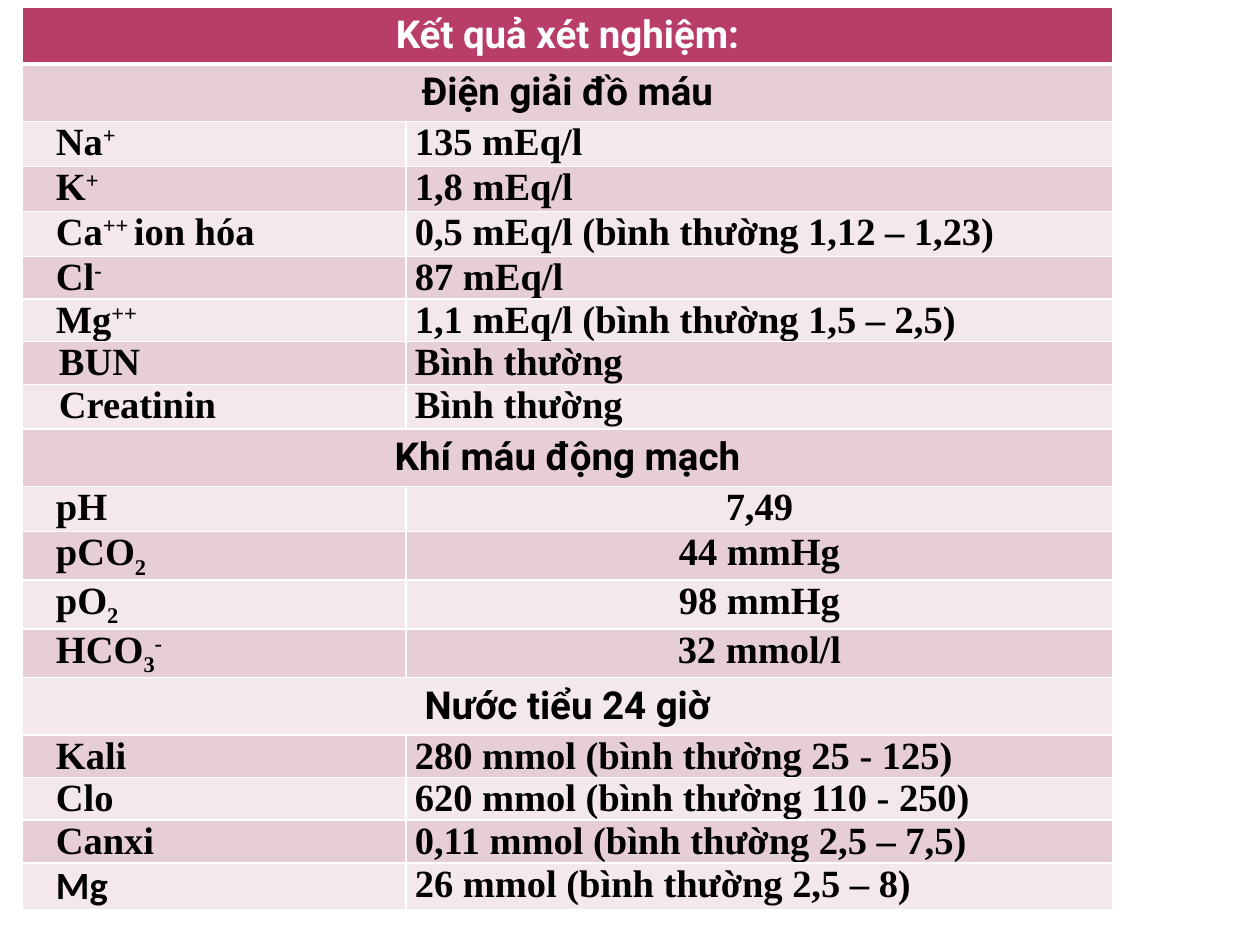
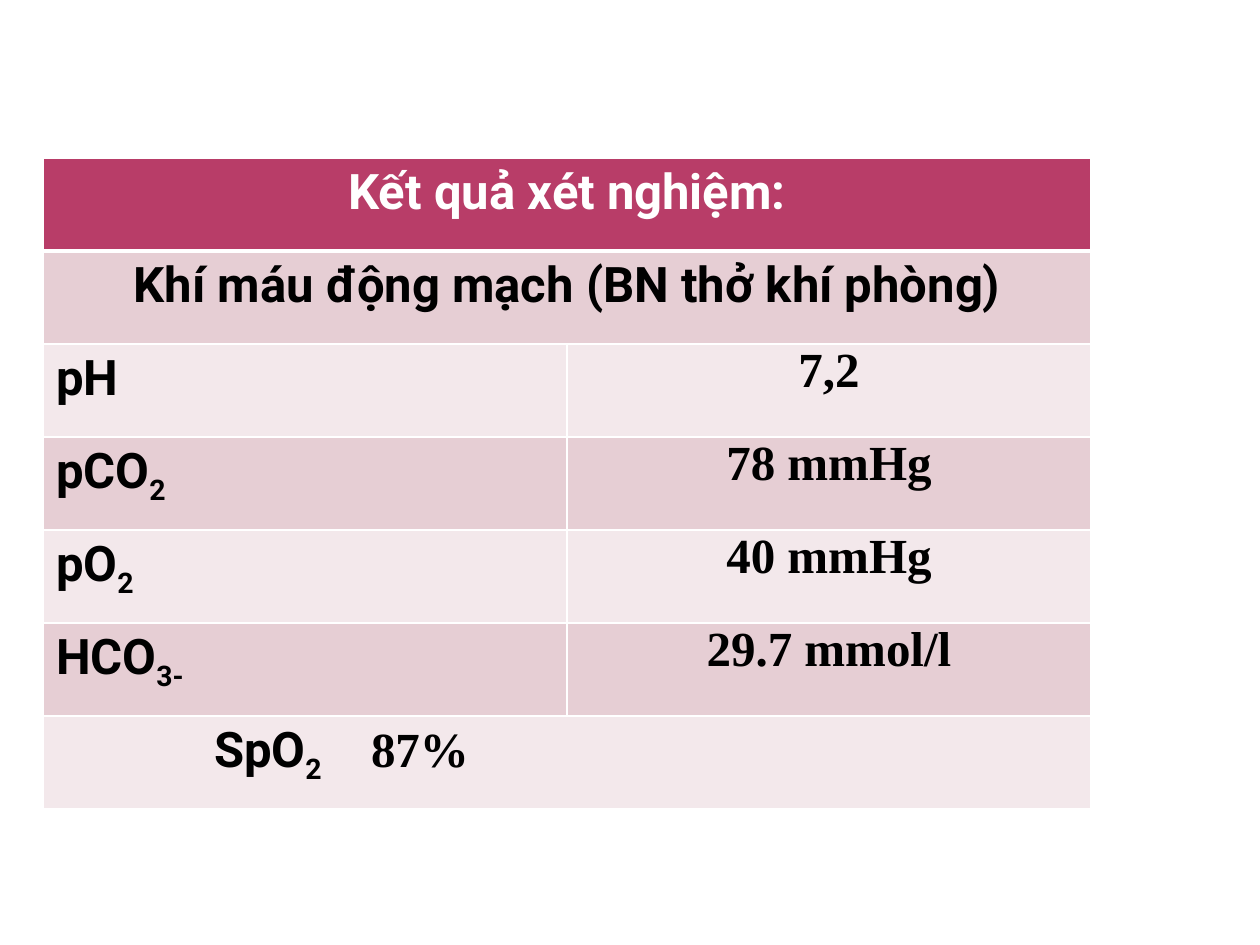
from lxml.etree import SubElement
from pptx import Presentation
from pptx.dml.color import RGBColor
from pptx.enum.text import PP_ALIGN
from pptx.oxml.ns import qn
from pptx.util import Emu, Pt

PIXEL = 914400 // 126
BLANK_LAYOUT = 6
CRIMSON = RGBColor(0xB8, 0x3D, 0x68)
ROSE = RGBColor(0xE6, 0xCE, 0xD4)
PALE_ROSE = RGBColor(0xF3, 0xE8, 0xEB)
WHITE = RGBColor(0xFF, 0xFF, 0xFF)
BLACK = RGBColor(0x00, 0x00, 0x00)
HEADING_FONT = "Roboto"
BODY_FONT = "Times New Roman"
BASELINES = {"^": "30000", "_": "-25000"}
TIGHT = (9, 0, 9, 0)
ROOMY = (13, 6, 13, 6)


def px(count):
    """Turn pixels into EMU."""
    return Emu(count * PIXEL)


def write_text(cell, text, size, font=BODY_FONT, color=BLACK, align=PP_ALIGN.LEFT,
               margins=TIGHT, left=0, first_line=0, tab=None, tail_font=None):
    """Write bold text; '|' parts runs, '^' raises and '_' lowers a run.

    A tail_font is used for the last run only.
    """
    (cell.margin_left, cell.margin_top,
     cell.margin_right, cell.margin_bottom) = map(px, margins)
    paragraph = cell.text_frame.paragraphs[0]
    paragraph.alignment = align
    properties = paragraph._p.get_or_add_pPr()
    properties.set("marL", str(px(left)))
    properties.set("indent", str(px(first_line)))
    if tab:
        tabs = SubElement(properties, qn("a:tabLst"))
        SubElement(tabs, qn("a:tab"), pos=str(px(tab)), algn="l")
    for part in text.split("|"):
        run = paragraph.add_run()
        run.text = part.lstrip("^_")
        run.font.size = Pt(size)
        run.font.bold = True
        run.font.name = font
        run.font.color.rgb = color
        if part[0] in BASELINES:
            run._r.get_or_add_rPr().set("baseline", BASELINES[part[0]])
    if tail_font:
        run.font.name = tail_font


def draw_borders(cell, row):
    """Give a cell white borders, thicker below the header row."""
    widths = {"L": 1, "R": 1, "T": 3 if row == 1 else 1, "B": 3 if row == 0 else 1}
    for side, width in widths.items():
        line = SubElement(cell._tc.get_or_add_tcPr(), qn("a:ln" + side), w=str(Pt(width)))
        fill = SubElement(line, qn("a:solidFill"))
        SubElement(fill, qn("a:srgbClr"), val=str(WHITE))


class ResultDeck:
    """Holds the presentation, the current slide and the text size."""

    def __init__(self):
        """Start a 10 by 7.5 inch presentation."""
        self.presentation = Presentation()
        self.presentation.slide_width = px(1260)
        self.presentation.slide_height = px(945)

    def new_slide(self, size):
        """Add a slide whose table text has the given size."""
        layout = self.presentation.slide_layouts[BLANK_LAYOUT]
        self.slide = self.presentation.slides.add_slide(layout)
        self.size = size

    def table(self, left, top, height, widths, heights):
        """Add a table with a header fill, banded rows and white borders."""
        frame = self.slide.shapes.add_table(len(heights), len(widths), px(left), px(top),
                                            px(sum(widths)), px(height))
        self.grid = frame.table
        for column, width in zip(self.grid.columns, widths):
            column.width = px(width)
        for index, row_height in enumerate(heights):
            self.grid.rows[index].height = px(row_height)
            band = CRIMSON if index == 0 else (ROSE if index % 2 else PALE_ROSE)
            for cell in self.grid.rows[index].cells:
                draw_borders(cell, index)
                cell.fill.solid()
                cell.fill.fore_color.rgb = band
        frame.height = px(height)

    def wide_row(self, row, text, **options):
        """Write one text across the whole row, centred unless told otherwise."""
        cell = self.grid.cell(row, 0)
        cell.merge(self.grid.cell(row, 1))
        style = {"font": HEADING_FONT, "align": PP_ALIGN.CENTER, "margins": ROOMY,
                 "color": BLACK if row else WHITE}
        write_text(cell, text, self.size, **{**style, **options})

    def result_row(self, row, label, value, centred=False, **label_options):
        """Write a test name and its value."""
        write_text(self.grid.cell(row, 0), label, self.size, **label_options)
        write_text(self.grid.cell(row, 1), value, self.size,
                   align=PP_ALIGN.CENTER if centred else PP_ALIGN.LEFT)


HEADER = "Kết quả xét nghiệm:"
BLOOD = [
    ("Na|^+", "135 mEq/l"),
    ("K|^+", "1,8 mEq/l"),
    ("Ca|^++ |ion hóa", "0,5 mEq/l (bình thường 1,12 – 1,23)"),
    ("Cl|^-", "87 mEq/l"),
    ("Mg|^++", "1,1 mEq/l (bình thường 1,5 – 2,5)"),
    ("BUN", "Bình thường"),
    ("Creatinin", "Bình thường"),
]
GASES = [
    ("pH", "7,49"),
    ("pCO|_2", "44 mmHg"),
    ("pO|_2", "98 mmHg"),
    ("HCO|_3|^-", "32 mmol/l"),
]
URINE = [
    ("Kali", "280 mmol (bình thường 25 - 125)"),
    ("Clo", "620 mmol (bình thường 110 - 250)"),
    ("Canxi", "0,11 mmol (bình thường 2,5 – 7,5)"),
    ("Mg", "26 mmol (bình thường 2,5 – 8)"),
]
SECTIONS = [("Điện giải đồ máu", BLOOD), ("Khí máu động mạch", GASES),
            ("Nước tiểu 24 giờ", URINE)]
ROOM_AIR_GASES = [
    ("pH", "7,2"),
    ("pCO|_2", "78 mmHg"),
    ("pO|_2", "40 mmHg"),
    ("HCO|_3-", "29.7 mmol/l"),
]


def all_results(deck):
    """Build the slide with blood, gas and urine results."""
    title, normal, low = 49, 45, 39
    heights = ([title] * 2 + [normal] * 3 + [low] * 3 + [normal, title]
               + [normal] * 4 + [title] + [low] * 4)
    # The first three rows and the last blood row are taller than the others.
    heights[5] = normal if len(BLOOD) < 7 else low
    deck.new_slide(22)
    deck.table(22, 7, 929, (384, 707), heights)
    deck.wide_row(0, HEADER)
    row = 1
    for heading, results in SECTIONS:
        deck.wide_row(row, heading)
        for row, (label, value) in enumerate(results, row + 1):
            deck.result_row(row, label, value, centred=results is GASES,
                            left=28 if label in ("BUN", "Creatinin") else 25,
                            font="Calibri" if label == "Mg" else BODY_FONT)
        row += 1


def room_air_results(deck):
    """Build the slide with arterial gases on room air."""
    deck.new_slide(28)
    deck.table(43, 158, 649, (524, 524), [93] * 7)
    deck.wide_row(0, HEADER)
    deck.wide_row(1, "Khí máu động mạch (BN thở khí phòng)")
    for row, (label, value) in enumerate(ROOM_AIR_GASES, 2):
        deck.result_row(row, label, value, centred=True, font=HEADING_FONT, margins=ROOMY)
    deck.wide_row(6, "SpO|_2|\t87%", align=PP_ALIGN.LEFT, first_line=158, tab=575,
                  tail_font=BODY_FONT)


def main():
    """Build and save the presentation."""
    deck = ResultDeck()
    all_results(deck)
    room_air_results(deck)
    deck.presentation.save("out.pptx")


main()
